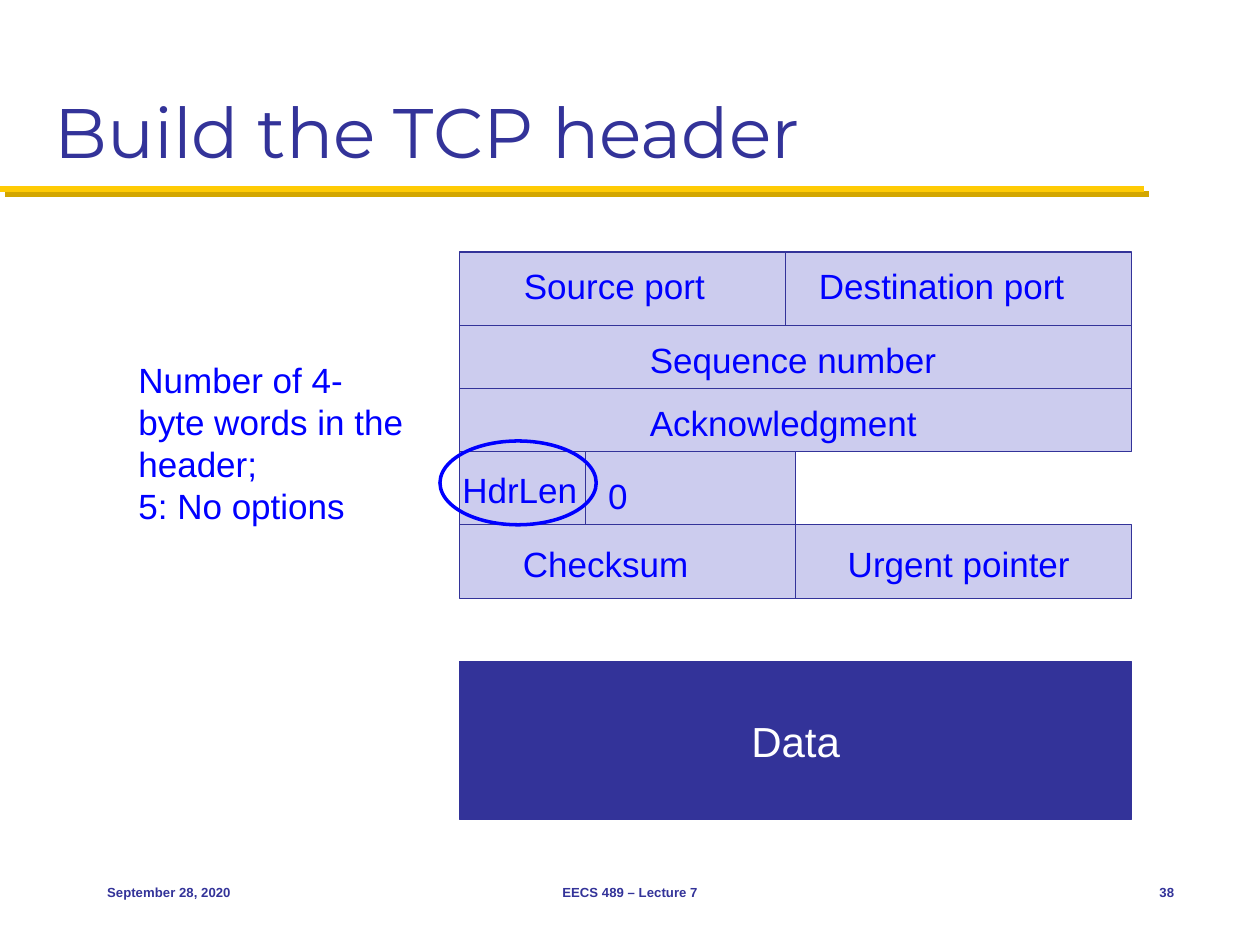
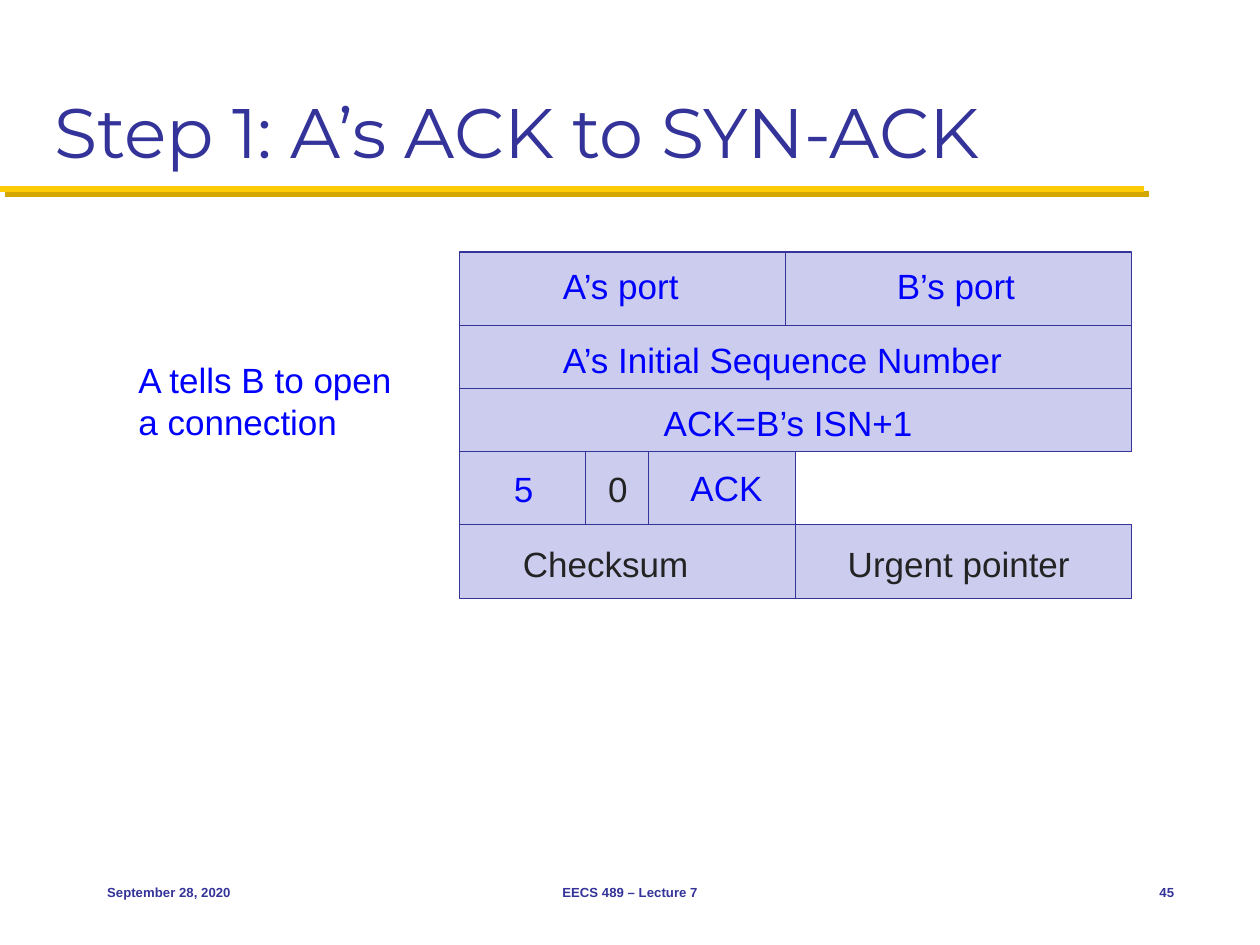
from itertools import accumulate

from lxml.etree import SubElement
from pptx import Presentation
from pptx.dml.color import RGBColor
from pptx.enum.shapes import MSO_CONNECTOR, MSO_SHAPE
from pptx.enum.text import MSO_ANCHOR, PP_ALIGN
from pptx.oxml.ns import qn
from pptx.util import Cm, Pt

NAVY = RGBColor(0x33, 0x33, 0x99)
LAVENDER = RGBColor(0xCC, 0xCC, 0xEE)
BLUE = RGBColor(0x00, 0x00, 0xFF)
DARK = RGBColor(0x23, 0x23, 0x23)
GOLD = RGBColor(0xFF, 0xCB, 0x05)
GOLD_SHADOW = RGBColor(0xD3, 0xA6, 0x00)
WHITE = RGBColor(0xFF, 0xFF, 0xFF)

HEADER_LEFT = 9.27
HEADER_WIDTH = 13.54
PORT_WIDTH = 6.56
HALF_WIDTH = HEADER_WIDTH / 2
ROW_HEIGHTS = [1.48, 1.27, 1.27, 1.48, 1.48]
ROW_TOPS = list(accumulate(ROW_HEIGHTS, initial=5.08))
PORTS, SEQUENCE, ACKNOWLEDGMENT, FLAGS, CHECKSUM = ROW_TOPS[:5]
ROW_CELLS = [
    [PORT_WIDTH, HEADER_WIDTH - PORT_WIDTH],
    [HEADER_WIDTH],
    [HEADER_WIDTH],
    [HALF_WIDTH],
    [HALF_WIDTH, HALF_WIDTH],
]
LABEL_HEIGHT = 1.1


def write(frame, lines, size, color, font="Arial", bold=False,
          align=PP_ALIGN.LEFT, anchor=MSO_ANCHOR.TOP):
    frame.word_wrap = True
    frame.vertical_anchor = anchor
    for index, line in enumerate(lines):
        paragraph = frame.paragraphs[0] if index == 0 else frame.add_paragraph()
        paragraph.alignment = align
        run = paragraph.add_run()
        run.text = line
        run.font.name = font
        run.font.size = Pt(size)
        run.font.bold = bold
        run.font.color.rgb = color


def add_text(slide, box, lines, size, color, **style):
    shape = slide.shapes.add_textbox(*map(Cm, box))
    write(shape.text_frame, lines, size, color, **style)
    return shape


def add_box(slide, kind, box, fill, line, width=0.75):
    shape = slide.shapes.add_shape(kind, *map(Cm, box))
    shape.shadow.inherit = False
    if fill is None:
        shape.fill.background()
    else:
        shape.fill.solid()
        shape.fill.fore_color.rgb = fill
    shape.line.color.rgb = line
    shape.line.width = Pt(width)
    return shape


def add_line(slide, start, end, color, width):
    line = slide.shapes.add_connector(
        MSO_CONNECTOR.STRAIGHT, *map(Cm, (*start, *end)))
    line.line.color.rgb = color
    line.line.width = Pt(width)
    return SubElement(line._element.spPr, qn("a:effectLst"))


def add_title_rule(slide):
    effects = add_line(slide, (0, 3.81), (23.06, 3.81), GOLD, 3.5)
    shadow = SubElement(effects, qn("a:outerShdw"), dist=str(Pt(4.2)),
                        dir="2700000", algn="ctr", rotWithShape="0")
    SubElement(shadow, qn("a:srgbClr"), val=str(GOLD_SHADOW))


def add_slide(presentation, title, number):
    slide = presentation.slides.add_slide(presentation.slide_layouts[6])
    add_title_rule(slide)
    add_text(slide, (0.85, 0.42, 23.71, 3.18), [title], 40, NAVY,
             font="Montserrat", anchor=MSO_ANCHOR.BOTTOM)
    footers = [
        (1.91, 5.29, "September 28, 2020", PP_ALIGN.LEFT),
        (8.68, 8.04, "EECS 489 – Lecture 7", PP_ALIGN.CENTER),
        (22.23, 1.69, number, PP_ALIGN.RIGHT),
    ]
    for left, width, text, align in footers:
        add_text(slide, (left, 17.36, width, 1.27), [text], 7.5, NAVY,
                 bold=True, align=align, anchor=MSO_ANCHOR.MIDDLE)
    return slide


def add_header(slide, divider_offsets):
    for top, height, widths in zip(ROW_TOPS, ROW_HEIGHTS, ROW_CELLS):
        lefts = accumulate(widths, initial=HEADER_LEFT)
        for left, width in zip(lefts, widths):
            add_box(slide, MSO_SHAPE.RECTANGLE, (left, top, width, height),
                    LAVENDER, NAVY)
    for offset in divider_offsets:
        left = HEADER_LEFT + offset
        add_line(slide, (left, FLAGS), (left, CHECKSUM), NAVY, 0.75)


def add_label(slide, text, left, top, width, color=BLUE):
    label = add_text(slide, (left, top, width, LABEL_HEIGHT), [text], 20, color)
    label.fill.solid()
    label.fill.fore_color.rgb = LAVENDER


def add_labels(slide, labels):
    for text, left, row_top, width in labels:
        add_label(slide, text, left, row_top + 0.13, width)


def add_last_row_labels(slide, color):
    add_label(slide, "Checksum", 10.29, CHECKSUM + 0.24, 4.1, color)
    add_label(slide, "Urgent pointer", 16.84, CHECKSUM + 0.24, 5.3, color)


def add_header_length(slide, text, top, align):
    add_text(slide, (9.07, top, 2.97, LABEL_HEIGHT), [text], 20, BLUE,
             align=align)


def add_remark(slide, lines, height):
    add_text(slide, (2.54, 7.1, 5.92, height), lines, 20, BLUE)


def build_header_slide(presentation):
    slide = add_slide(presentation, "Build the TCP header", "38")
    add_header(slide, [2.54])
    add_labels(slide, [
        ("Source port", 10.31, PORTS, 4.5),
        ("Destination port", 16.26, PORTS, 5.8),
        ("Sequence number", 12.85, SEQUENCE, 6.6),
        ("Acknowledgment", 12.85, ACKNOWLEDGMENT, 6.3),
    ])
    add_header_length(slide, "HdrLen", 9.32, PP_ALIGN.LEFT)
    add_label(slide, "0", 12.01, 9.45, 1)
    add_last_row_labels(slide, BLUE)
    data = add_box(slide, MSO_SHAPE.RECTANGLE,
                   (HEADER_LEFT, 13.34, HEADER_WIDTH, 3.18), NAVY, NAVY)
    write(data.text_frame, ["Data"], 24, WHITE, align=PP_ALIGN.CENTER,
          anchor=MSO_ANCHOR.MIDDLE)
    add_box(slide, MSO_SHAPE.OVAL, (8.87, 8.89, 3.15, 1.69), None, BLUE, 2)
    add_remark(slide, ["Number of 4-byte words in the header;",
                       "5: No options"], 3.68)


def build_ack_slide(presentation):
    slide = add_slide(presentation, "Step 1: A’s ACK to SYN-ACK", "45")
    add_header(slide, [2.54, 3.81])
    add_labels(slide, [
        ("A’s port", 11.1, PORTS, 3.2),
        ("B’s port", 17.83, PORTS, 3.2),
        ("A’s Initial Sequence Number", 11.1, SEQUENCE, 9.8),
        ("ACK=B’s ISN+1", 13.13, ACKNOWLEDGMENT, 5.9),
    ])
    add_header_length(slide, "5", 9.3, PP_ALIGN.CENTER)
    add_label(slide, "0", 12.01, 9.3, 1, DARK)
    add_label(slide, "ACK", 13.67, 9.28, 2.2)
    add_last_row_labels(slide, DARK)
    add_remark(slide, ["A tells B to open a connection"], 1.96)


def main():
    presentation = Presentation()
    presentation.slide_width = Cm(25.4)
    presentation.slide_height = Cm(19.05)
    build_header_slide(presentation)
    build_ack_slide(presentation)
    presentation.save("out.pptx")


if __name__ == "__main__":
    main()
